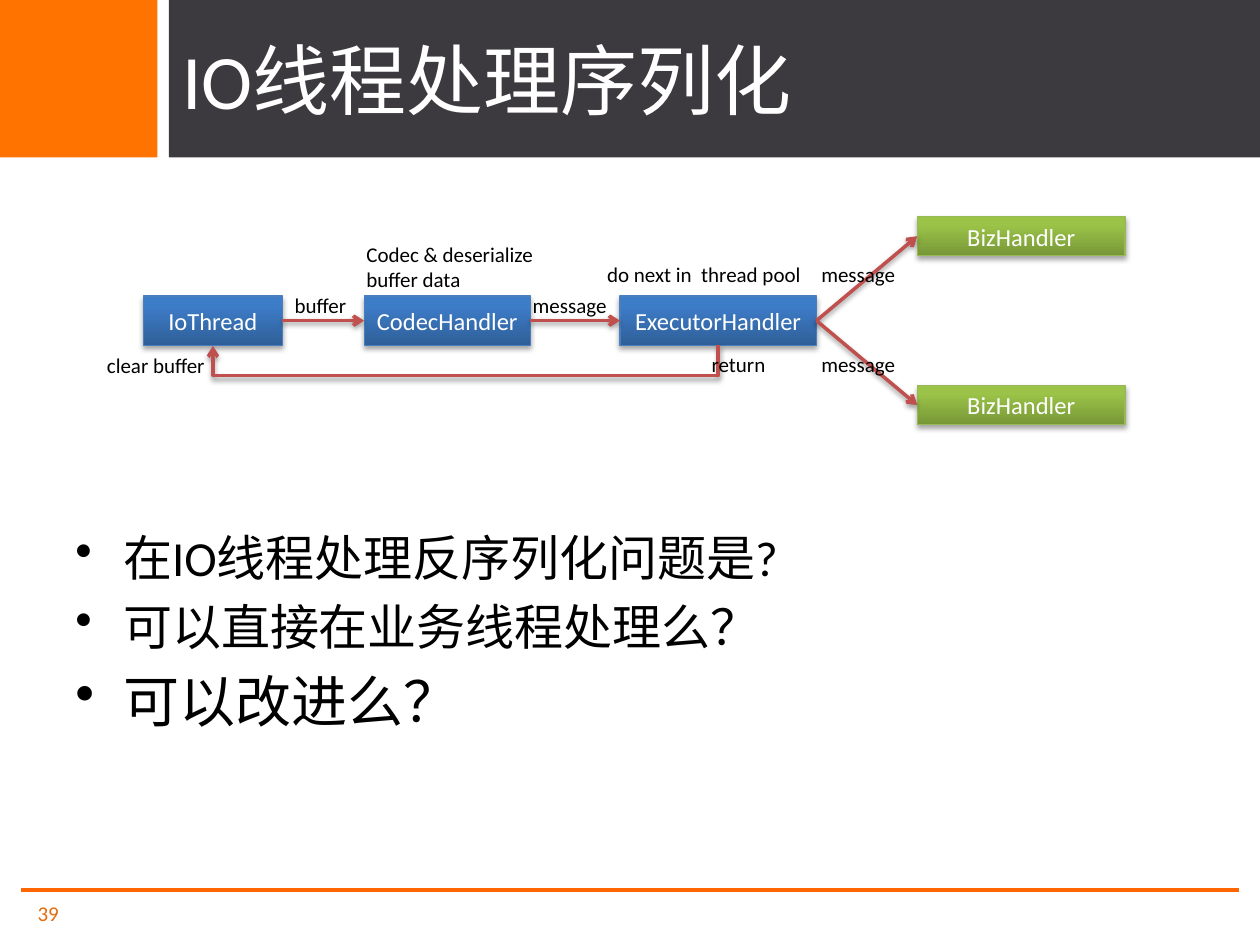
"""Build the slide on serialization in the IO thread."""
from dataclasses import dataclass

from lxml import etree
from pptx import Presentation
from pptx.dml.color import RGBColor
from pptx.enum.shapes import MSO_CONNECTOR, MSO_SHAPE
from pptx.enum.text import MSO_ANCHOR, PP_ALIGN
from pptx.oxml.ns import qn
from pptx.util import Inches, Pt

RECTANGLE = MSO_SHAPE.RECTANGLE
STRAIGHT, ELBOW = MSO_CONNECTOR.STRAIGHT, MSO_CONNECTOR.ELBOW
TOP, MIDDLE = MSO_ANCHOR.TOP, MSO_ANCHOR.MIDDLE
CENTER = PP_ALIGN.CENTER
LEFT_SIDE, BOTTOM_SIDE, RIGHT_SIDE = 1, 2, 3


@dataclass(frozen=True)
class Theme:
    font: str = "Calibri"
    header: str = "3C3A3E"
    accent: str = "FF7300"
    rule: str = "FF6600"
    number: str = "E46C0A"
    white: str = "FFFFFF"
    black: str = "000000"
    arrow: str = "C0504D"
    blue: tuple = ("2F5F99", "3D7CC7", "4B7EBC")
    green: tuple = ("779737", "9BC348", "98B955")
    title_size: int = 44
    box_size: int = 14
    label_size: int = 12
    bullet_size: int = 28
    large_bullet_size: int = 32


THEME = Theme()


def color(value):
    return RGBColor.from_string(value)


def style_font(paragraph, size, value):
    paragraph.font.name = THEME.font
    paragraph.font.size = Pt(size)
    paragraph.font.color.rgb = color(value)


def add_shadow(shape, opacity, distance):
    properties = shape._element.spPr
    effects = properties.find(qn("a:effectLst"))
    if effects is None:
        effects = etree.SubElement(properties, qn("a:effectLst"))
    shadow = etree.SubElement(
        effects, qn("a:outerShdw"), blurRad=str(Pt(3.1)),
        dist=str(Pt(distance)), dir="5400000", rotWithShape="0")
    shade = etree.SubElement(shadow, qn("a:srgbClr"), val=THEME.black)
    etree.SubElement(shade, qn("a:alpha"), val=str(opacity * 1000))


def add_block(slide, left, width, value):
    shape = slide.shapes.add_shape(
        RECTANGLE, Inches(left), 0, Inches(width), Inches(1.25))
    shape.shadow.inherit = False
    shape.fill.solid()
    shape.fill.fore_color.rgb = color(value)
    shape.line.fill.background()


def add_text(slide, text, left, top, width, height, size=THEME.label_size,
             value=THEME.black, anchor=TOP, wrap=True):
    box = slide.shapes.add_textbox(
        Inches(left), Inches(top), Inches(width), Inches(height))
    frame = box.text_frame
    frame.word_wrap = wrap
    frame.vertical_anchor = anchor
    frame.text = text
    style_font(frame.paragraphs[0], size, value)


def add_handler(slide, text, left, top, width, height, palette):
    shape = slide.shapes.add_shape(
        RECTANGLE, Inches(left), Inches(top), Inches(width), Inches(height))
    dark, light, outline = palette
    shape.fill.gradient()
    shape.fill.gradient_angle = 90
    for stop, value, position in zip(shape.fill.gradient_stops, (dark, light), (0, 0.8)):
        stop.color.rgb = color(value)
        stop.position = position
    shape.line.color.rgb = color(outline)
    shape.line.width = Pt(0.75)
    shape.shadow.inherit = False
    add_shadow(shape, 35, 1.8)
    frame = shape.text_frame
    frame.margin_left = frame.margin_right = 0
    frame.vertical_anchor = MIDDLE
    frame.text = text
    paragraph = frame.paragraphs[0]
    paragraph.alignment = CENTER
    style_font(paragraph, THEME.box_size, THEME.white)
    return shape


def add_arrow(slide, source, target, kind=STRAIGHT,
              source_side=RIGHT_SIDE, target_side=LEFT_SIDE):
    arrow = slide.shapes.add_connector(kind, 0, 0, 0, 0)
    arrow.begin_connect(source, source_side)
    arrow.end_connect(target, target_side)
    arrow.line.color.rgb = color(THEME.arrow)
    arrow.line.width = Pt(2)
    line = arrow._element.spPr.find(qn("a:ln"))
    etree.SubElement(line, qn("a:tailEnd"), type="arrow")
    add_shadow(arrow, 38, 1.6)
    return arrow


def add_return_arrow(slide, source, target):
    arrow = add_arrow(slide, source, target, ELBOW, BOTTOM_SIDE, BOTTOM_SIDE)
    start = source.left + source.width // 2
    end = target.left + target.width // 2
    thickness, drop = Inches(0.01), Inches(0.25)
    arrow.width, arrow.height = thickness, start - end
    arrow.left = (start + end - thickness) // 2
    arrow.top = source.top + source.height - arrow.height // 2
    properties = arrow._element.spPr
    transform = properties.find(qn("a:xfrm"))
    for name, setting in (("rot", "5400000"), ("flipH", "0"), ("flipV", "0")):
        transform.set(name, setting)
    geometry = properties.find(qn("a:prstGeom"))
    adjustments = geometry.find(qn("a:avLst"))
    if adjustments is None:
        adjustments = etree.SubElement(geometry, qn("a:avLst"))
    etree.SubElement(adjustments, qn("a:gd"), name="adj1",
                     fmla=f"val {drop * 100000 // thickness}")


def add_rule(slide):
    rule = slide.shapes.add_connector(
        STRAIGHT, Inches(0.17), Inches(7.06), Inches(9.83), Inches(7.06))
    rule.line.color.rgb = color(THEME.rule)
    rule.line.width = Pt(2.25)
    etree.SubElement(rule._element.spPr, qn("a:effectLst"))


def add_bullets(slide, items):
    box = slide.shapes.add_textbox(
        Inches(0.5), Inches(4.14), Inches(9), Inches(2.56))
    frame = box.text_frame
    frame.word_wrap = True
    frame.text = "\n".join(text for text, _ in items)
    for paragraph, (_, size) in zip(frame.paragraphs, items):
        style_font(paragraph, size, THEME.black)
        paragraph.space_before = Pt(size * 0.2)
        properties = paragraph._p.get_or_add_pPr()
        properties.set("marL", str(Inches(0.38)))
        properties.set("indent", str(-Inches(0.38)))
        bullet = etree.Element(qn("a:buChar"), char="•")
        properties.find(qn("a:spcBef")).addnext(bullet)


def add_flow(slide):
    codec, io_thread, executor = [
        add_handler(slide, text, left, 2.35, width, 0.39, THEME.blue)
        for text, left, width in (("CodecHandler", 2.89, 1.32),
                                  ("IoThread", 1.14, 1.1),
                                  ("ExecutorHandler", 4.92, 1.56))]
    business = [add_handler(slide, "BizHandler", 7.28, top, 1.65, 0.31, THEME.green)
                for top in (1.72, 3.06)]
    add_arrow(slide, io_thread, codec)
    add_arrow(slide, codec, executor)
    for handler in business:
        add_arrow(slide, executor, handler)
    add_return_arrow(slide, executor, io_thread)


def main():
    presentation = Presentation()
    presentation.slide_width, presentation.slide_height = Inches(10), Inches(7.5)
    slide = presentation.slides.add_slide(presentation.slide_layouts[6])
    add_block(slide, 1.34, 8.68, THEME.header)
    add_block(slide, 0, 1.25, THEME.accent)
    add_rule(slide)
    add_text(slide, "IO线程处理序列化", 1.35, 0, 8.65, 1.25,
             THEME.title_size, THEME.white, MIDDLE)
    add_text(slide, "39", 0.2, 7.05, 1.1, 0.4, value=THEME.number, anchor=MIDDLE)
    add_flow(slide)
    add_text(slide, "return", 5.55, 2.74, 0.63, 0.3, wrap=False)
    add_text(slide, "Codec & deserialize buffer data", 2.81, 1.87, 1.73, 0.5)
    for text, left, top, width in (("clear buffer", 0.75, 2.75, 1.02),
                                   ("do next in  thread pool", 4.72, 2.03, 1.81),
                                   ("buffer", 2.24, 2.27, 0.71),
                                   ("message", 4.13, 2.27, 0.87),
                                   ("message", 6.42, 2.03, 0.87),
                                   ("message", 6.42, 2.74, 0.87)):
        add_text(slide, text, left, top, width, 0.3)
    add_bullets(slide, (("在IO线程处理反序列化问题是?", THEME.bullet_size),
                        ("可以直接在业务线程处理么？", THEME.bullet_size),
                        ("可以改进么？", THEME.large_bullet_size)))
    presentation.save("out.pptx")


if __name__ == "__main__":
    main()
